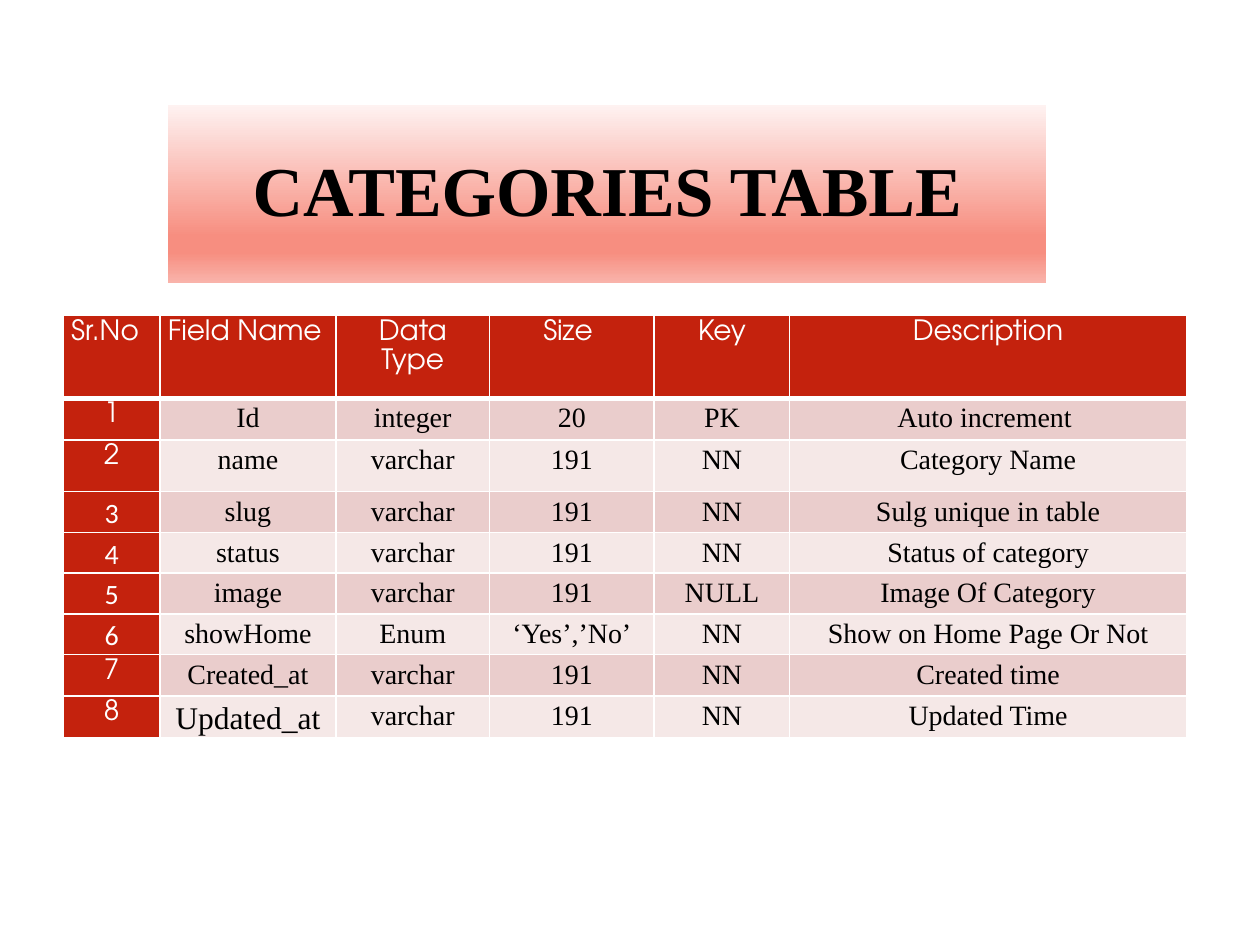
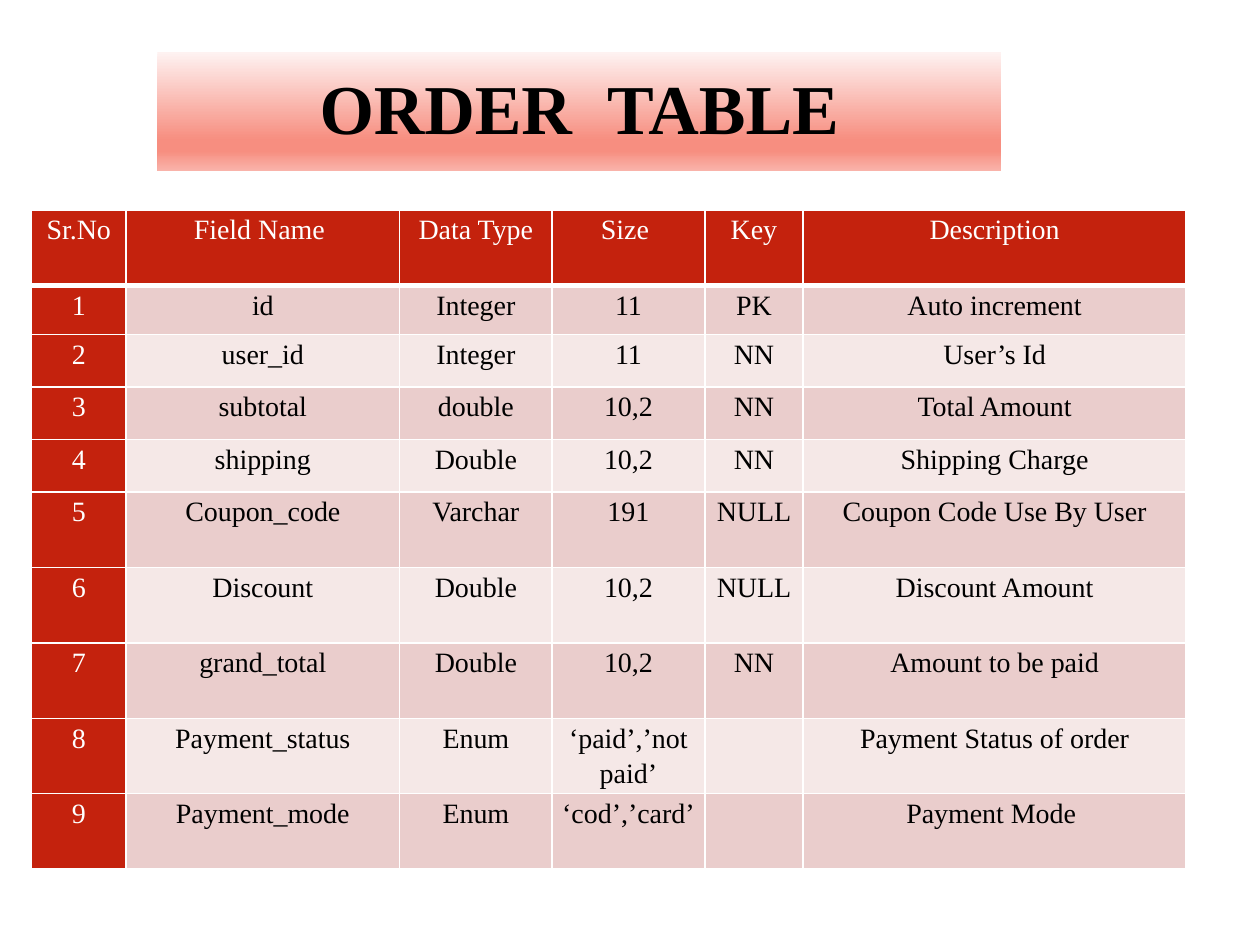
from lxml import etree
from pptx import Presentation
from pptx.dml.color import RGBColor
from pptx.enum.shapes import MSO_SHAPE as Shape
from pptx.enum.text import MSO_ANCHOR as Anchor, PP_ALIGN as Align
from pptx.oxml.ns import qn
from pptx.util import Pt

SERIF, ROUND, PLAIN = "Times New Roman", "TeX Gyre Adventor", "Calibri"
RED, WHITE, BLACK = "C4220D", "FFFFFF", "000000"
BANDS = ["EACDCC", "F5E8E7"]
FADE = [(0, "FEF2F1"), (74, "F78E80"), (83, "F78E80"), (100, "F9B3AA")]
HEADS = ["Sr.No", "Field Name", "Data Type", "Size ", "Key", "Description"]


def color(code):
    return RGBColor.from_string(code)


def paint(parent, code):
    """Add a colour element below a gradient stop or a solid fill."""
    etree.SubElement(parent, qn("a:srgbClr"), val=code)


class Deck:
    def __init__(self, wide, high):
        self.show = Presentation()
        self.show.slide_width, self.show.slide_height = Pt(wide), Pt(high)
        self.slide = None

    def page(self):
        self.slide = self.show.slides.add_slide(self.show.slide_layouts[6])

    def style(self, para, face, size, ink, bold=False, align=Align.CENTER, lead=1.15):
        para.alignment, para.line_spacing = align, lead
        font = para.font
        font.name, font.size, font.bold = face, Pt(size), bold
        font.color.rgb = color(ink)

    def title(self, words, box, gap=0):
        """Gradient band with a title; gap widens the spaces, in points."""
        band = self.slide.shapes.add_shape(Shape.RECTANGLE, *map(Pt, box))
        band.shadow.inherit = False
        band.line.fill.background()
        band.fill.gradient()
        band.fill.gradient_angle = 270
        stops = next(band.fill._xPr.iter(qn("a:gsLst")))
        stops.clear()
        for part, code in FADE:
            paint(etree.SubElement(stops, qn("a:gs"), pos=str(part * 1000)), code)
        frame = band.text_frame
        frame.word_wrap, frame.vertical_anchor = True, Anchor.MIDDLE
        para = frame.paragraphs[0]
        for index, word in enumerate(words.split()):
            if index:
                space = para.add_run()
                space.text = " "
                space._r.get_or_add_rPr().set("spc", str(gap * 100))
            para.add_run().text = word
        self.style(para, SERIF, 40, BLACK, bold=True, lead=0.9)

    def edge(self, cell, base):
        """White cell borders; base is the width of the lower one."""
        props = cell._tc.get_or_add_tcPr()
        for side, width in zip("LRTB", (1, 1, 1, base)):
            line = etree.SubElement(props, qn("a:ln" + side), w=str(Pt(width)))
            paint(etree.SubElement(line, qn("a:solidFill")), WHITE)

    def table(self, spot, cols, highs, rows, look):
        """Draw the rows; look(row, col) gives the font settings of a cell."""
        size = sum(cols), sum(highs)
        grid = self.slide.shapes.add_table(
            len(rows), len(cols), *map(Pt, spot + size)).table
        grid.first_row = grid.horz_banding = False
        for col, wide in zip(grid.columns, cols):
            col.width = Pt(wide)
        for r, (high, row) in enumerate(zip(highs, rows)):
            grid.rows[r].height = Pt(high)
            for c, words in enumerate(row):
                cell = grid.cell(r, c)
                cell.margin_left = cell.margin_right = Pt(4.5)
                cell.margin_top = cell.margin_bottom = 0
                lead = r == 0 or c == 0
                self.edge(cell, 1 if r else 3)
                cell.fill.solid()
                cell.fill.fore_color.rgb = color(RED if lead else BANDS[(r - 1) % 2])
                cell.text = words
                base = {"face": SERIF, "size": 16, "ink": WHITE if lead else BLACK}
                self.style(cell.text_frame.paragraphs[0], **{**base, **look(r, c)})


def number(rows):
    """Put a serial number before each row."""
    return [[str(n), *row] for n, row in enumerate(rows, 1)]


def mixed(row, col):
    """Fonts of the categories table where they differ from the base."""
    if row == 0:
        return {"face": ROUND, "align": Align.LEFT if col < 2 else Align.CENTER}
    if col == 0:
        return {"face": PLAIN if 3 <= row <= 6 else ROUND}
    return {"size": 18} if (row, col) == (8, 1) else {}


def main():
    deck = Deck(720, 540)

    # Categories
    deck.page()
    deck.title("CATEGORIES TABLE", (96, 60, 502, 101.5))
    fields = [
        ["Id", "integer", "20", "PK", "Auto increment "],
        ["name", "varchar", "191", "NN", "Category Name"],
        ["slug", "varchar", "191", "NN", "Sulg unique in table"],
        ["status", "varchar", "191", "NN", "Status of category"],
        ["image", "varchar", "191", "NULL", "Image Of Category"],
        ["showHome", "Enum", "‘Yes’,’No’", "NN", "Show on Home Page Or Not"],
        ["Created_at", "varchar", "191", "NN", "Created time"],
        ["Updated_at", "varchar", "191", "NN", "Updated Time"],
    ]
    deck.table((36.2, 180.3), (55.2, 100.6, 87.8, 94.1, 77.4, 226.8),
               [47.3, 23.7, 29.7] + [23.3] * 4 + [23.7] * 2,
               [HEADS] + number(fields), mixed)

    # Orders
    deck.page()
    deck.title("ORDER TABLE", (90, 30, 482, 67.7), gap=10)
    fields = [
        ["id", "Integer", "11", "PK", "Auto increment"],
        ["user_id", "Integer", "11", "NN", "User’s Id"],
        ["subtotal", "double", "10,2", "NN", "Total Amount"],
        ["shipping", "Double", "10,2", "NN", "Shipping Charge"],
        ["Coupon_code", "Varchar", "191", "NULL", "Coupon Code Use By User"],
        ["Discount", "Double", "10,2", "NULL", "Discount Amount"],
        ["grand_total", "Double", "10,2", "NN", "Amount to be paid"],
        ["Payment_status", "Enum", "‘paid’,’not paid’", "", "Payment Status of order"],
        ["Payment_mode", "Enum", "‘cod’,’card’", "", "Payment Mode "],
    ]
    heads = ["Field Name " if head == "Field Name" else head for head in HEADS]
    deck.table((18, 120), (54, 156.4, 87.1, 87.3, 56.2, 218.9),
               [43.1, 28.2] + [30] * 3 + [43.1] * 5,
               [heads] + number(fields), lambda row, col: {})

    deck.show.save("out.pptx")


if __name__ == "__main__":
    main()
